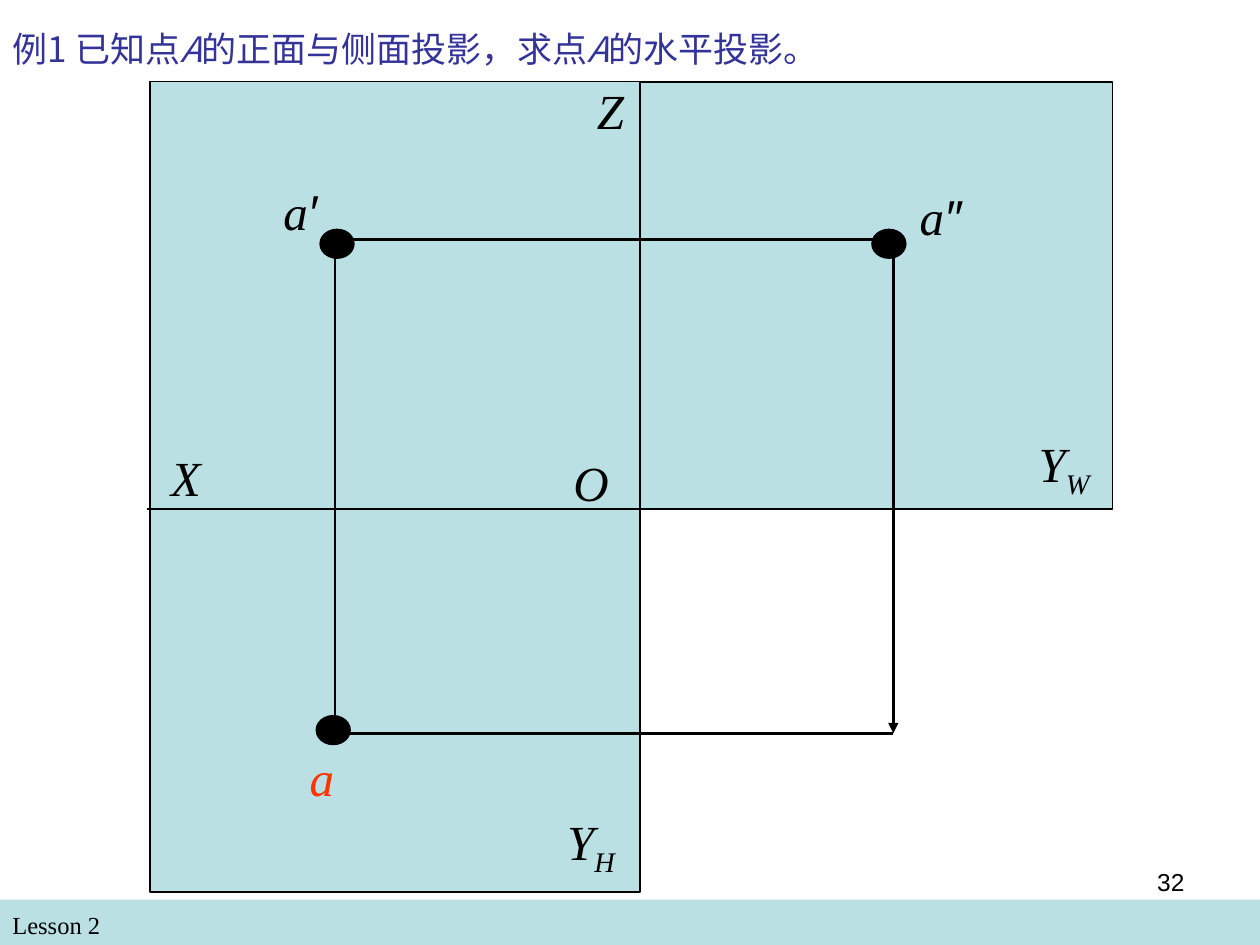
from dataclasses import dataclass

from lxml import etree
from pptx import Presentation
from pptx.dml.color import RGBColor
from pptx.enum import shapes as kinds, text as txt
from pptx.oxml.ns import qn
from pptx.util import Inches, Pt

BLACK = RGBColor(0x00, 0x00, 0x00)
PALE_TEAL = RGBColor(0xBB, 0xE0, 0xE3)
INDIGO = RGBColor(0x33, 0x33, 0x99)
RED = RGBColor(0xFF, 0x33, 0x00)
SERIF, SANS, CJK = "Times New Roman", "Arial", "Noto Sans CJK SC"
LEFT, CENTER, RIGHT = txt.PP_ALIGN.LEFT, txt.PP_ALIGN.CENTER, txt.PP_ALIGN.RIGHT
TOP, MIDDLE = txt.MSO_ANCHOR.TOP, txt.MSO_ANCHOR.MIDDLE
RECT, OVAL = kinds.MSO_SHAPE.RECTANGLE, kinds.MSO_SHAPE.OVAL

# Axes and projection lines, in inches
PLANE_LEFT, AXIS_X, PLANE_RIGHT = 1.19, 5.08, 8.83
PLANE_TOP, AXIS_Y, PLANE_BOTTOM = 0.65, 4.04, 7.08
POINT_LEFT, POINT_RIGHT, POINT_TOP, POINT_BOTTOM = 2.66, 7.09, 1.9, 5.82


@dataclass(frozen=True)
class Box:
    left: float
    top: float
    width: float
    height: float

    def lengths(self):
        return [Inches(v) for v in (self.left, self.top, self.width, self.height)]


@dataclass(frozen=True)
class Run:
    text: str
    font: str = SERIF
    italic: bool = True
    subscript: bool = False


@dataclass(frozen=True)
class Label:
    box: Box
    runs: tuple[Run, ...]
    color: RGBColor = BLACK
    align: txt.PP_ALIGN = CENTER


@dataclass(frozen=True)
class Segment:
    start: tuple[float, float]
    end: tuple[float, float]
    weight: float = 1.5
    arrow: bool = False


PLANES = (
    Box(PLANE_LEFT, PLANE_TOP, AXIS_X - PLANE_LEFT, PLANE_BOTTOM - PLANE_TOP),
    Box(AXIS_X, PLANE_TOP, PLANE_RIGHT - AXIS_X, AXIS_Y - PLANE_TOP),
)
SEGMENTS = (
    Segment((AXIS_X, AXIS_Y), (1.17, AXIS_Y), weight=0.75),
    Segment((POINT_LEFT, POINT_TOP), (POINT_RIGHT, POINT_TOP)),
    Segment((POINT_LEFT, 2), (POINT_LEFT, POINT_BOTTOM), arrow=True),
    Segment((POINT_RIGHT, POINT_TOP), (POINT_RIGHT, POINT_BOTTOM), arrow=True),
    Segment((POINT_RIGHT, POINT_BOTTOM), (POINT_LEFT, POINT_BOTTOM), arrow=True),
)
DOTS = tuple(Box(x, y, 0.27, 0.23) for x, y in ((6.92, 1.82), (2.54, 1.82), (2.51, 5.68)))
LABELS = (
    Label(Box(1.14, 3.5, 0.67, 0.57), (Run("X"),)),
    Label(Box(4.64, 0.59, 0.41, 0.57), (Run("Z"),)),
    Label(Box(8.06, 3.39, 0.77, 0.63), (Run("Y"), Run("W", subscript=True))),
    Label(Box(4.22, 6.39, 0.94, 0.63), (Run("Y"), Run("H", subscript=True))),
    Label(Box(4.45, 3.54, 0.48, 0.57), (Run("O"),)),
    Label(Box(2.15, 1.39, 0.62, 0.57), (Run("a"), Run("′", SANS)), align=LEFT),
    Label(Box(7.2, 1.43, 0.67, 0.57), (Run("a"), Run("″", SANS)), align=LEFT),
    Label(Box(2.36, 5.88, 0.39, 0.57), (Run("a"),), color=RED),
)
TITLE = (
    Run("例1 已知点", CJK, italic=False),
    Run("A", CJK),
    Run("的正面与侧面投影，求点", CJK, italic=False),
    Run("A", CJK),
    Run("的水平投影。", CJK, italic=False),
)


def write(frame, runs: tuple[Run, ...], *, size: float, color: RGBColor = BLACK,
          align=LEFT, anchor=TOP, wrap: bool = True) -> None:
    frame.word_wrap = wrap
    frame.auto_size = txt.MSO_AUTO_SIZE.NONE
    frame.vertical_anchor = anchor
    paragraph = frame.paragraphs[0]
    paragraph.alignment = align
    for part in runs:
        run = paragraph.add_run()
        run.text = part.text
        font = run.font
        font.size, font.name, font.italic = Pt(size), part.font, part.italic
        font.color.rgb = color
        properties = run._r.get_or_add_rPr()
        etree.SubElement(properties, qn("a:ea")).set("typeface", part.font)
        if part.subscript:
            properties.set("baseline", "-25000")


def add_text(slide, box: Box, runs: tuple[Run, ...], **text_format) -> None:
    write(slide.shapes.add_textbox(*box.lengths()).text_frame, runs, **text_format)


def add_filled(slide, kind, box: Box, fill: RGBColor, outlined: bool = True) -> None:
    shape = slide.shapes.add_shape(kind, *box.lengths())
    shape.shadow.inherit = False
    shape.fill.solid()
    shape.fill.fore_color.rgb = fill
    if outlined:
        shape.line.color.rgb = BLACK
        shape.line.width = Pt(0.75)
    else:
        shape.line.fill.background()


def add_segment(slide, segment: Segment) -> None:
    ends = [Inches(v) for v in (*segment.start, *segment.end)]
    connector = slide.shapes.add_connector(kinds.MSO_CONNECTOR.STRAIGHT, *ends)
    connector.line.color.rgb = BLACK
    connector.line.width = Pt(segment.weight)
    if segment.arrow:
        line = connector.line._get_or_add_ln()
        etree.SubElement(line, qn("a:tailEnd")).set("type", "triangle")
    etree.SubElement(connector._element.spPr, qn("a:effectLst"))


def main() -> None:
    deck = Presentation()
    deck.slide_width, deck.slide_height = Inches(10), Inches(7.5)
    slide = deck.slides.add_slide(deck.slide_layouts[5])

    title = slide.shapes.title
    title.left, title.top, title.width, title.height = Box(0, 0.17, 7.5, 0.67).lengths()
    write(title.text_frame, TITLE, size=20, color=INDIGO)

    add_filled(slide, RECT, Box(0, 7.14, 10, 0.36), PALE_TEAL, outlined=False)
    add_text(slide, Box(0, 7.17, 4.83, 0.34), (Run("Lesson 2", italic=False),), size=14)

    for plane in PLANES:
        add_filled(slide, RECT, plane, PALE_TEAL)
    for segment in SEGMENTS:
        add_segment(slide, segment)
    for dot in DOTS:
        add_filled(slide, OVAL, dot, BLACK)
    for label in LABELS:
        add_text(slide, label.box, label.runs, size=28, color=label.color,
                 align=label.align, anchor=MIDDLE, wrap=False)

    add_text(slide, Box(7.17, 6.83, 2.33, 0.52), (Run("32", SANS, italic=False),),
             size=14, align=RIGHT)
    deck.save("out.pptx")


if __name__ == "__main__":
    main()
